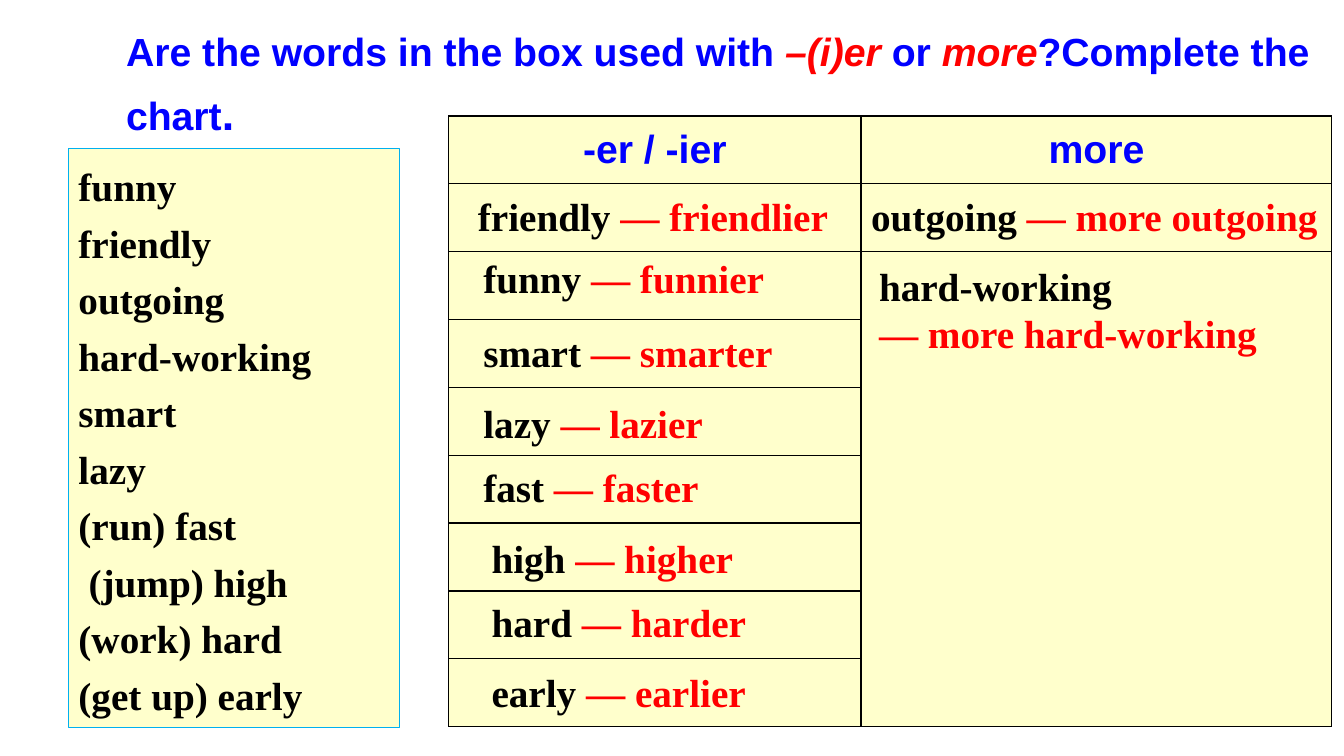
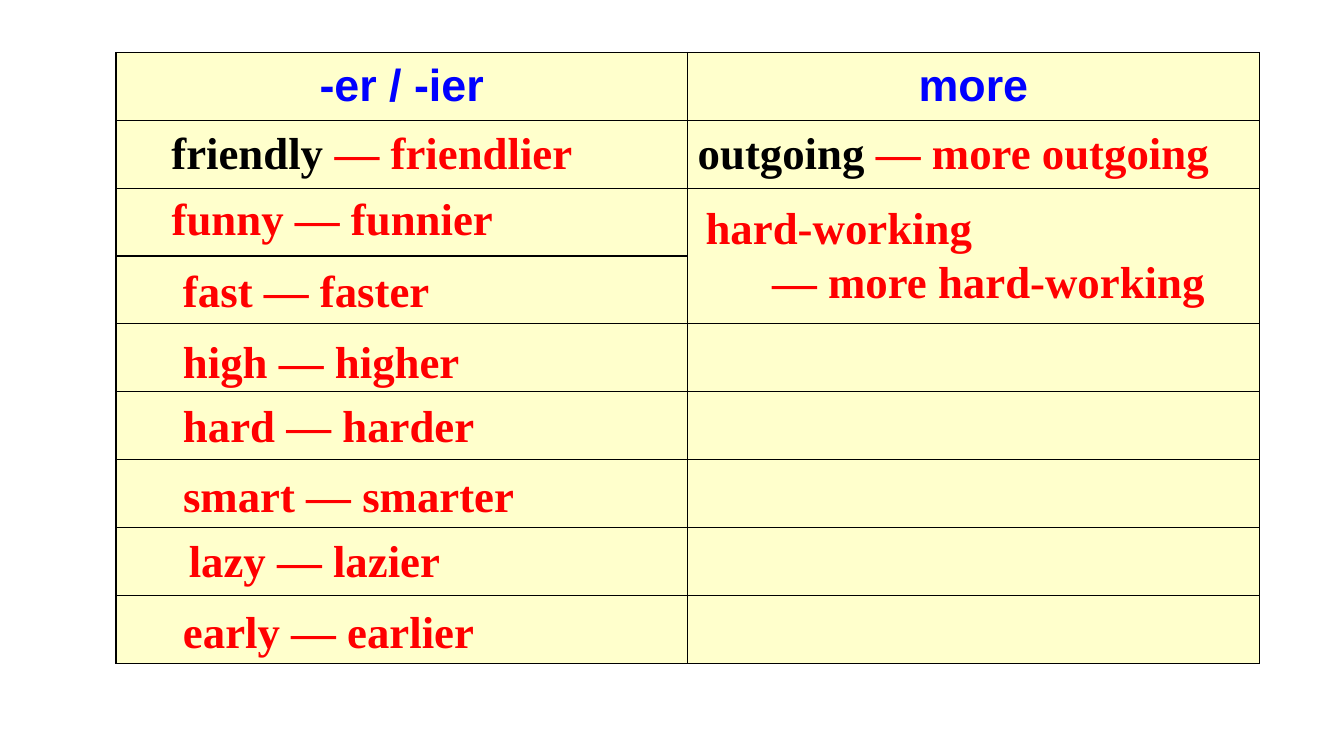
from dataclasses import dataclass

from lxml.etree import SubElement
from pptx import Presentation
from pptx.dml.color import RGBColor as Color
from pptx.enum.shapes import MSO_SHAPE as Shape
from pptx.enum.text import MSO_ANCHOR as Anchor, MSO_AUTO_SIZE as AutoSize, PP_ALIGN as Align
from pptx.oxml.ns import qn
from pptx.util import Inches, Pt

SLIDE_W, SLIDE_H = 13.33, 7.5


@dataclass(frozen=True)
class Theme:
    heading: str = "0000FF"
    answer: str = "FF0000"
    word: str = "000000"
    panel: str = "FFFFCC"
    panel_line: str = "00B0F0"
    grid: str = "000000"
    head_font: str = "Arial"
    body_font: str = "Times New Roman"
    normal: int = 28
    large: int = 32
    spacing: float = 1.2


@dataclass(frozen=True)
class Box:
    left: float
    top: float
    width: float
    height: float

    def emu(self):
        return [Inches(side) for side in (self.left, self.top, self.width, self.height)]

    def inner(self, left, top, width, height):
        return Box(self.left + left, self.top + top, width, height)


THEME = Theme()
ROWS = 9

COMPARATIVES = {
    "funny": ("funnier", 0.32),
    "smart": ("smarter", 0.30),
    "lazy": ("lazier", 0.26),
    "fast": ("faster", 0.24),
    "high": ("higher", 0.27),
    "hard": ("harder", 0.27),
    "early": ("earlier", 0.27),
}

WORDS = ["funny", "friendly", "outgoing", "hard-working", "smart", "lazy",
         "(run) fast", "(jump) high", "(work) hard", "(get up) early"]


@dataclass(frozen=True)
class Chart:
    box: Box
    columns: tuple
    size: int
    word_color: str
    first_margin: float
    merged_rows: int
    answer_height: float
    answers: tuple
    long_answer: Box
    long_indent: float


EXERCISE = Chart(
    box=Box(4.45, 1.15, 8.76, 6.06), columns=(4.09, 4.67), size=THEME.normal,
    word_color=THEME.word, first_margin=0.29, merged_rows=7, answer_height=0.57,
    answers=(("funny", 0.06, 1.96), ("smart", 0.06, 3.05), ("lazy", 0.06, 4.1),
             ("fast", 0.06, 5.04), ("high", 0.08, 6.09), ("hard", 0.08, 7.03),
             ("early", 0.08, 8.07)),
    long_answer=Box(0.08, 1.4, 4.03, 1), long_indent=0)

SUMMARY = Chart(
    box=Box(1.15, 0.52, 11.34, 6.06), columns=(5.67, 5.67), size=THEME.large,
    word_color=THEME.answer, first_margin=0.55, merged_rows=2, answer_height=0.63,
    answers=(("funny", 0.08, 1.96), ("fast", 0.1, 3.03), ("high", 0.1, 4.07),
             ("hard", 0.1, 5.01), ("smart", 0.1, 6.05), ("lazy", 0.11, 7),
             ("early", 0.1, 8.05)),
    long_answer=Box(0.08, 1.41, 5.67, 1.72), long_indent=0.66)


def write(para, spans, size, font=THEME.body_font):
    for text, color in spans:
        span = para.add_run()
        span.text = text
        span.font.size = Pt(size)
        span.font.name = font
        span.font.bold = True
        span.font.color.rgb = Color.from_string(color)


def indent(para, inches):
    properties = para._p.get_or_add_pPr()
    properties.set("marL", str(Inches(inches)))
    properties.set("indent", "0")


def add_text(page, box, lines, size):
    frame = page.shapes.add_textbox(*box.emu()).text_frame
    frame.word_wrap = True
    for index, spans in enumerate(lines):
        para = frame.add_paragraph() if index else frame.paragraphs[0]
        write(para, spans, size)
    return frame


def add_title(page, box):
    title = page.shapes.title
    title.left, title.top, title.width, title.height = box.emu()
    frame = title.text_frame
    frame.word_wrap = True
    frame.auto_size = AutoSize.NONE
    frame.vertical_anchor = Anchor.TOP
    para = frame.paragraphs[0]
    para.alignment = Align.LEFT
    para.line_spacing = THEME.spacing
    blue, red = THEME.heading, THEME.answer
    write(para, [("Are the words in the box used with ", blue), ("–(i)er", red),
                 (" or ", blue), ("more", red), ("?Complete the chart", blue),
                 (".", blue)], THEME.normal, THEME.head_font)
    for index in (1, 3):
        para.runs[index].font.italic = True
    para.runs[-1].font.size = Pt(THEME.large)


def add_word_list(page, box):
    panel = page.shapes.add_shape(Shape.RECTANGLE, *box.emu())
    panel.shadow.inherit = False
    panel.fill.solid()
    panel.fill.fore_color.rgb = Color.from_string(THEME.panel)
    panel.line.color.rgb = Color.from_string(THEME.panel_line)
    panel.line.width = Pt(0.75)
    frame = panel.text_frame
    frame.word_wrap = True
    frame.vertical_anchor = Anchor.TOP
    for index, word in enumerate(WORDS):
        para = frame.add_paragraph() if index else frame.paragraphs[0]
        para.alignment = Align.LEFT
        para.line_spacing = THEME.spacing
        if word == "(jump) high":
            indent(para, 0.1)
        write(para, [(word, THEME.word)], THEME.normal)


def style_cell(cell):
    properties = cell._tc.get_or_add_tcPr()
    for side in ("a:lnL", "a:lnR", "a:lnT", "a:lnB"):
        line = SubElement(properties, qn(side), w=str(Pt(1)))
        SubElement(SubElement(line, qn("a:solidFill")), qn("a:srgbClr"), val=THEME.grid)
    cell.fill.solid()
    cell.fill.fore_color.rgb = Color.from_string(THEME.panel)
    cell.vertical_anchor = Anchor.MIDDLE


def add_grid(page, chart):
    table = page.shapes.add_table(ROWS, 2, *chart.box.emu()).table
    table.first_row = table.horz_banding = False
    for column, width in zip(table.columns, chart.columns):
        column.width = Inches(width)
    for row in table.rows:
        row.height = Inches(chart.box.height / ROWS)
    for cell in table.iter_cells():
        style_cell(cell)
    table.cell(2, 1).merge(table.cell(1 + chart.merged_rows, 1))
    for index, heading in enumerate(("-er / -ier", "more")):
        para = table.cell(0, index).text_frame.paragraphs[0]
        para.alignment = Align.CENTER
        write(para, [(heading, THEME.heading)], chart.size, THEME.head_font)
    samples = (("friendly ", "— friendlier"), ("outgoing ", "— more outgoing"))
    for index, (word, answer) in enumerate(samples):
        para = table.cell(1, index).text_frame.paragraphs[0]
        write(para, [(word, THEME.word), (answer, THEME.answer)], chart.size)
    table.cell(1, 0).margin_left = Inches(chart.first_margin)


def add_answers(page, chart):
    row_height = chart.box.height / ROWS
    for word, column_share, row in chart.answers:
        comparative, slide_share = COMPARATIVES[word]
        box = chart.box.inner(column_share * chart.columns[0], row * row_height,
                              slide_share * SLIDE_W, chart.answer_height)
        spans = [(f"{word} ", chart.word_color), (f"— {comparative}", THEME.answer)]
        add_text(page, box, [spans], chart.size)
    offset = chart.long_answer
    box = chart.box.inner(chart.columns[0] + offset.left, offset.top,
                          offset.width, offset.height)
    lines = [[("hard-working", chart.word_color)], [("— more hard-working", THEME.answer)]]
    frame = add_text(page, box, lines, chart.size)
    if chart.long_indent:
        indent(frame.paragraphs[1], chart.long_indent)


def add_chart_region(page, chart):
    add_grid(page, chart)
    add_answers(page, chart)


def main():
    deck = Presentation()
    deck.slide_width, deck.slide_height = Inches(SLIDE_W), Inches(SLIDE_H)
    title_only, blank = deck.slide_layouts[5], deck.slide_layouts[6]

    exercise = deck.slides.add_slide(title_only)
    add_title(exercise, Box(1.15, 0.13, 12.18, 1.31))
    add_word_list(exercise, Box(0.68, 1.47, 3.28, 5.75))
    add_chart_region(exercise, EXERCISE)

    add_chart_region(deck.slides.add_slide(blank), SUMMARY)
    deck.save("out.pptx")


if __name__ == "__main__":
    main()
